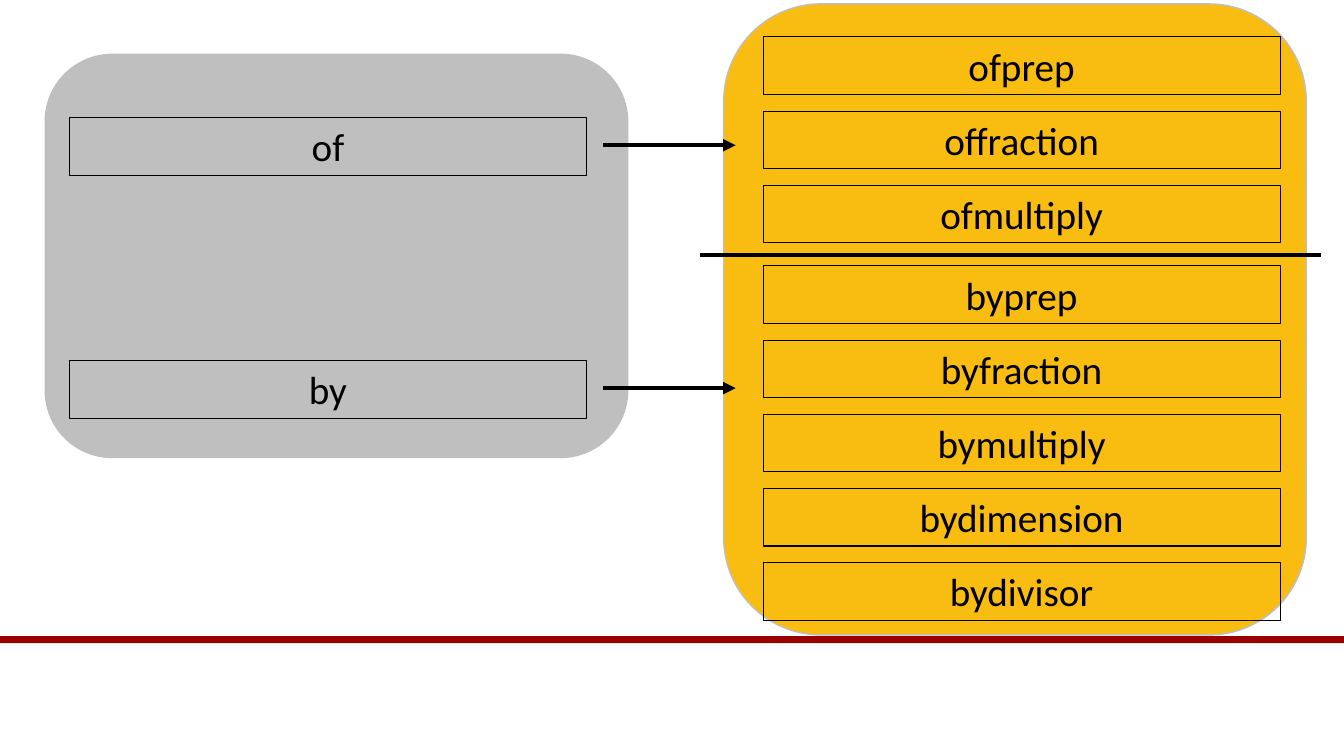
import dataclasses

import lxml.etree
import pptx
import pptx.dml.color
import pptx.enum.shapes
import pptx.enum.text
import pptx.oxml.ns
import pptx.shapes.autoshape
import pptx.slide
import pptx.util

Cm = pptx.util.Cm
Pt = pptx.util.Pt
Kind = pptx.enum.shapes.MSO_SHAPE

HUES = {"black": "000000", "gray": "BFBFBF", "gold": "F9BC11", "red": "990000"}
WIDE, TALL = 33.87, 19.05
ROW_WIDE, ROW_TALL, STEP = 13.03, 1.45, 1.87
LEFT, RIGHT = 1.75, 19.23


@dataclasses.dataclass(frozen=True)
class Panel:
    left: float
    top: float
    width: float
    height: float
    fill: str
    edge: str | None = "gray"
    kind: Kind = Kind.ROUNDED_RECTANGLE


@dataclasses.dataclass(frozen=True)
class Group:
    """A source word, the senses it maps to, and their tops in cm."""
    word: str
    top: float
    arrow: float
    senses: tuple[str, ...]
    first: float


@dataclasses.dataclass(frozen=True)
class Stroke:
    start: float
    end: float
    level: float
    arrow: bool = False


PANELS = [
    Panel(0, 16.03, WIDE, 0.18, "red", None, Kind.RECTANGLE),
    Panel(18.24, 0.1, 14.68, 15.9, "gold"),
    Panel(1.14, 1.37, 14.68, 10.16, "gray"),
]
GROUPS = [
    Group("of", 2.97, 3.66, ("ofprep", "offraction", "ofmultiply"), 0.93),
    Group("by", 9.09, 9.78, ("byprep", "byfraction", "bymultiply",
                             "bydimension", "bydivisor"), 6.7),
]
BREAK = Stroke(17.63, 33.3, 6.43)


def hue(name: str) -> pptx.dml.color.RGBColor:
    return pptx.dml.color.RGBColor.from_string(HUES[name])


def draw_panel(slide: pptx.slide.Slide, panel: Panel) -> None:
    shape = slide.shapes.add_shape(panel.kind, Cm(panel.left), Cm(panel.top),
                                   Cm(panel.width), Cm(panel.height))
    shape.shadow.inherit = False
    shape.fill.solid()
    shape.fill.fore_color.rgb = hue(panel.fill)
    if panel.edge:
        shape.line.color.rgb = hue(panel.edge)
        shape.line.width = Pt(1)
    else:
        shape.line.fill.background()


def draw_word(slide: pptx.slide.Slide, text: str, left: float, top: float) -> None:
    box = slide.shapes.add_textbox(Cm(left), Cm(top), Cm(ROW_WIDE), Cm(ROW_TALL))
    box.line.color.rgb = hue("black")
    box.line.width = Pt(0.75)
    frame = box.text_frame
    frame.word_wrap = True
    frame.auto_size = pptx.enum.text.MSO_AUTO_SIZE.SHAPE_TO_FIT_TEXT
    para = frame.paragraphs[0]
    para.text = text
    para.alignment = pptx.enum.text.PP_ALIGN.CENTER
    para.font.name = "Calibri"
    para.font.size = Pt(28)
    para.font.color.rgb = hue("black")


def draw_stroke(slide: pptx.slide.Slide, stroke: Stroke) -> None:
    line = slide.shapes.add_connector(
        pptx.enum.shapes.MSO_CONNECTOR.STRAIGHT, Cm(stroke.start),
        Cm(stroke.level), Cm(stroke.end), Cm(stroke.level))
    line.line.color.rgb = hue("black")
    line.line.width = Pt(3)
    qn = pptx.oxml.ns.qn
    props = line._element.spPr
    if stroke.arrow:
        lxml.etree.SubElement(props.find(qn("a:ln")), qn("a:tailEnd"), type="triangle")
    lxml.etree.SubElement(props, qn("a:effectLst"))


def main() -> None:
    deck = pptx.Presentation()
    deck.slide_width, deck.slide_height = Cm(WIDE), Cm(TALL)
    slide = deck.slides.add_slide(deck.slide_layouts[6])
    for panel in PANELS:
        draw_panel(slide, panel)
    for group in GROUPS:
        draw_word(slide, group.word, LEFT, group.top)
        draw_stroke(slide, Stroke(15.19, 18.54, group.arrow, arrow=True))
        for row, sense in enumerate(group.senses):
            draw_word(slide, sense, RIGHT, group.first + row * STEP)
    draw_stroke(slide, BREAK)
    deck.save("out.pptx")


if __name__ == "__main__":
    main()
